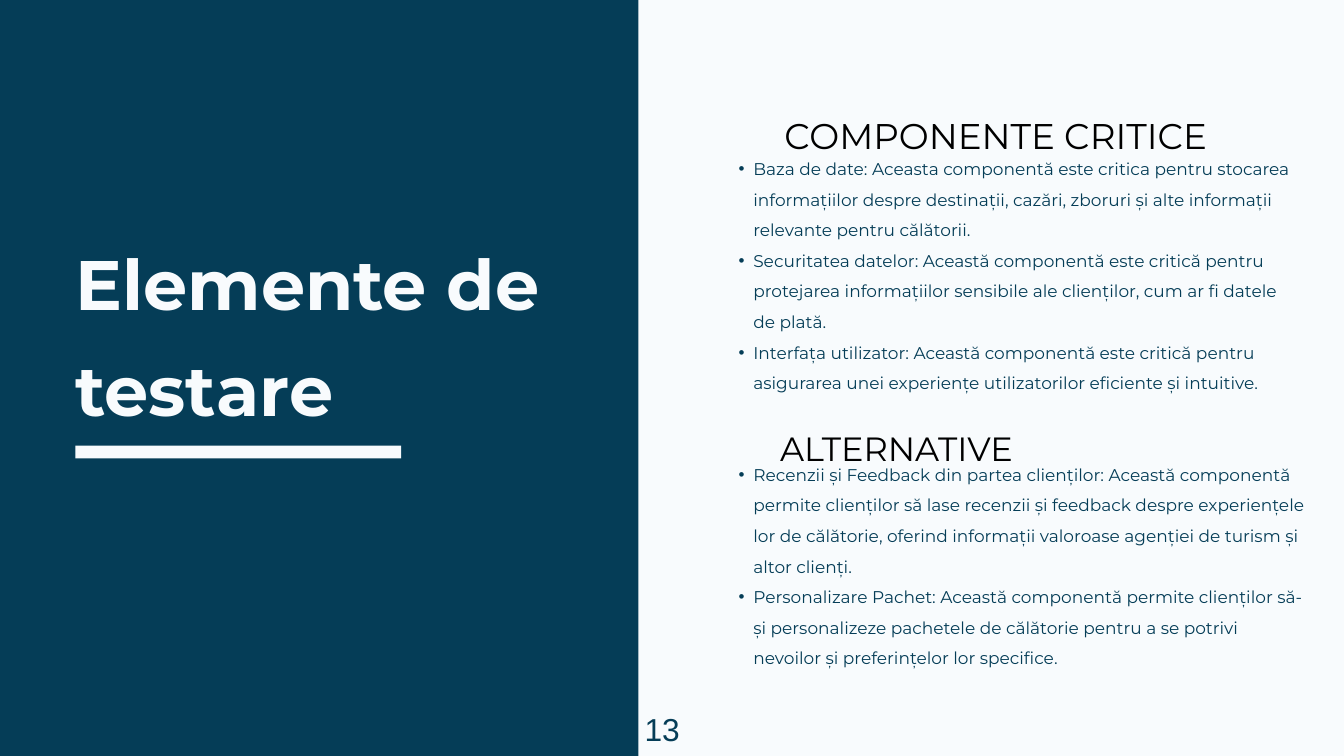
from lxml import etree
from pptx import Presentation
from pptx.dml.color import RGBColor
from pptx.enum.shapes import MSO_SHAPE
from pptx.enum.text import MSO_AUTO_SIZE, PP_ALIGN
from pptx.oxml.ns import qn
from pptx.util import Inches, Pt

NAVY = RGBColor(0x05, 0x3D, 0x57)
PALE = RGBColor(0xF8, 0xFB, 0xFD)
BLACK = RGBColor(0, 0, 0)
RECTANGLE = MSO_SHAPE.RECTANGLE
GROW = MSO_AUTO_SIZE.SHAPE_TO_FIT_TEXT
LEFT, CENTER = PP_ALIGN.LEFT, PP_ALIGN.CENTER

CRITICAL_ITEMS = [
    "Baza de date: Aceasta componentă este critica pentru stocarea informațiilor "
    "despre destinații, cazări, zboruri și alte informații relevante pentru călătorii.",
    "Securitatea datelor: Această componentă este critică pentru protejarea "
    "informațiilor sensibile ale clienților, cum ar fi datele de plată.",
    "Interfața utilizator: Această componentă este critică pentru asigurarea unei "
    "experiențe utilizatorilor eficiente și intuitive.",
]
ALTERNATIVE_ITEMS = [
    "Recenzii și Feedback din partea clienților: Această componentă permite clienților "
    "să lase recenzii și feedback despre experiențele lor de călătorie, oferind "
    "informații valoroase agenției de turism și altor clienți.",
    "Personalizare Pachet: Această componentă permite clienților să-și personalizeze "
    "pachetele de călătorie pentru a se potrivi nevoilor și preferințelor lor specifice.",
]


def add_bullet(paragraph):
    paragraph.level = 1
    properties = paragraph._p.get_or_add_pPr()
    properties.set("marL", str(Inches(0.43)))
    properties.set("indent", str(Inches(-0.22)))
    bullet_color = etree.SubElement(properties, qn("a:buClr"))
    etree.SubElement(bullet_color, qn("a:srgbClr"), val=str(NAVY))
    etree.SubElement(properties, qn("a:buFont"), typeface="Arial")
    etree.SubElement(properties, qn("a:buChar"), char="•")


def add_text(box, texts, size, color, spacing, align=LEFT, font="Montserrat",
             bold=False, bulleted=False):
    frame = slide.shapes.add_textbox(*map(Inches, box)).text_frame
    frame.margin_left = frame.margin_top = frame.margin_right = frame.margin_bottom = 0
    frame.word_wrap = True
    frame.auto_size = GROW
    for index, text in enumerate(texts):
        paragraph = frame.add_paragraph() if index else frame.paragraphs[0]
        paragraph.text = text
        if bulleted:
            add_bullet(paragraph)
        paragraph.alignment = align
        paragraph.line_spacing = spacing
        paragraph.font.name = font
        paragraph.font.size = Pt(size)
        paragraph.font.bold = bold
        paragraph.font.color.rgb = color


presentation = Presentation()
presentation.slide_width = Inches(20)
presentation.slide_height = Inches(11.25)
slide = presentation.slides.add_slide(presentation.slide_layouts[6])
slide.background.fill.solid()
slide.background.fill.fore_color.rgb = NAVY

# Right panel and the bar under the title
for box in [(9.5, -0.44, 10.62, 12.13), (1.12, 6.63, 4.85, 0.19)]:
    shape = slide.shapes.add_shape(RECTANGLE, *map(Inches, box))
    shape.shadow.inherit = False
    shape.fill.solid()
    shape.fill.fore_color.rgb = PALE
    shape.line.fill.background()

# Title
add_text((1.12, 3.25, 7.37, 2.6), ["Elemente de testare"], 75, PALE, 1.26, bold=True)

# Section headings
add_text((11.4, 1.29, 6.83, 0.81), ["COMPONENTE CRITICE"], 38.2, BLACK, 1.64, CENTER)
add_text((11.4, 5.99, 3.88, 0.61), ["ALTERNATIVE"], 36, BLACK, 1.64, CENTER)

# Bulleted lists
add_text((10.78, 2.21, 8.42, 3.42), CRITICAL_ITEMS, 18.2, NAVY, 1.5, bulleted=True)
add_text((10.78, 6.76, 8.65, 3.03), ALTERNATIVE_ITEMS, 18.2, NAVY, 1.5, bulleted=True)

# Page number
add_text((9.59, 10.33, 0.53, 0.63), ["13"], 34, NAVY, 1.4, CENTER, font="Arial")

presentation.save("out.pptx")
